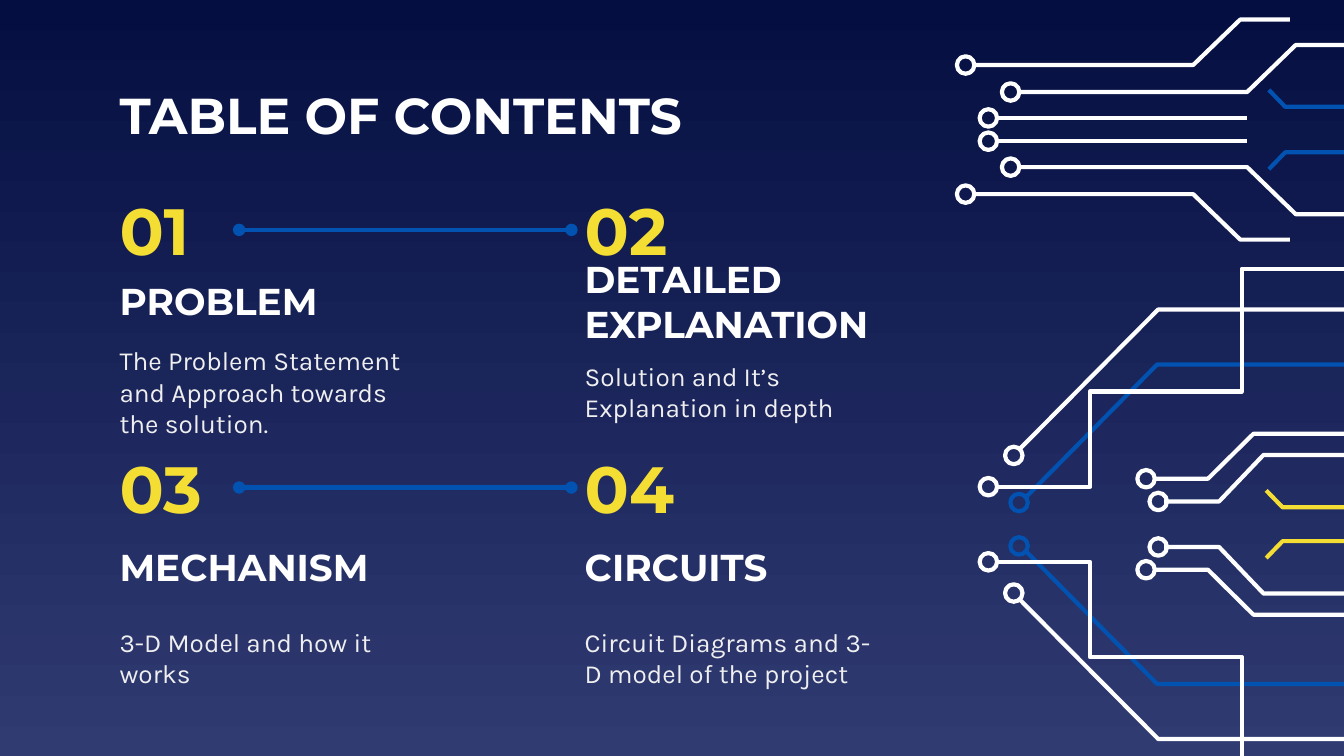
from lxml import etree
from pptx import Presentation
from pptx.dml.color import RGBColor
from pptx.enum import shapes, text
from pptx.oxml import ns
from pptx.util import Cm, Pt

WHITE = RGBColor(0xFF, 0xFF, 0xFF)
PALE = RGBColor(0xEF, 0xEF, 0xEF)
YELLOW = RGBColor(0xF5, 0xDE, 0x34)
BLUE = RGBColor(0x01, 0x52, 0xB1)
NIGHT = RGBColor(0x04, 0x0E, 0x41)
DUSK = RGBColor(0x30, 0x3B, 0x72)

RING = 0.33
STROKE = Pt(2.25)

# Each trace: colour, ring centre or None, points; x from the left, y from the axis.
TOP = [
    (WHITE, (0.15, 1.22), [(0.3, 1.22), (4.45, 1.22), (5.34, 2.08), (6.28, 2.08)]),
    (WHITE, (1, 0.71), [(1.15, 0.71), (5.47, 0.71), (6.39, 1.6), (7.8, 1.6)]),
    (WHITE, (0.58, 0.22), [(0.72, 0.22), (5.47, 0.22)]),
    (BLUE, None, [(5.88, 0.75), (6.19, 0.43), (7.6, 0.43)]),
]
SMALL = [
    (WHITE, (0.29, 0.43), [(0.4, 0.43), (1.44, 0.43), (2.28, 1.31), (4.3, 1.31)]),
    (WHITE, (0.06, 0.86), [(0.2, 0.86), (1.23, 0.86), (2.09, 1.71), (4.3, 1.71)]),
    (YELLOW, None, [(2.33, 0.64), (2.64, 0.32), (4.1, 0.32)]),
]
LARGE = [
    (BLUE, (0.76, 0.41), [(0.86, 0.48), (3.37, 3.02), (7.4, 3.02)]),
    (WHITE, (0.18, 0.71), [(0.32, 0.71), (2.1, 0.71), (2.1, 2.51),
                           (4.97, 2.51), (4.97, 4.83), (7.4, 4.83)]),
    (WHITE, (0.66, 1.3), [(0.75, 1.4), (3.39, 4.06), (7.4, 4.06)]),
]


def stroke(shape, color):
    """Outline a shape without fill or shadow."""
    shape.shadow.inherit = False
    shape.fill.background()
    shape.line.color.rgb = color
    shape.line.width = STROKE


def circuit(slide, left, axis, traces):
    """Draw traces mirrored above and below a horizontal axis."""
    for side in (-1, 1):
        for color, ring, points in traces:
            path = [(Cm(left + x), Cm(axis + side * y)) for x, y in points]
            pen = slide.shapes.build_freeform(*path[0])
            pen.add_line_segments(path[1:], close=False)
            stroke(pen.convert_to_shape(), color)
            if ring:
                x, y = left + ring[0], axis + side * ring[1]
                dot = slide.shapes.add_shape(
                    shapes.MSO_SHAPE.OVAL, Cm(x - RING / 2), Cm(y - RING / 2),
                    Cm(RING), Cm(RING))
                stroke(dot, color)


def write(slide, words, left, top, width, height, *, size, color=WHITE,
          font="Montserrat", bold=True):
    """Add a wrapped, vertically centred text box."""
    box = slide.shapes.add_textbox(Cm(left), Cm(top), Cm(width), Cm(height))
    frame = box.text_frame
    frame.word_wrap = True
    frame.vertical_anchor = text.MSO_ANCHOR.MIDDLE
    frame.margin_left = frame.margin_right = Cm(0.25)
    frame.margin_top = frame.margin_bottom = Cm(0.25)
    run = frame.paragraphs[0].add_run()
    run.text = words
    run.font.size = Pt(size)
    run.font.name = font
    run.font.bold = bold
    run.font.color.rgb = color
    return box


def entry(slide, left, top, drop, number, head, body):
    """Place one contents entry and return its number box."""
    mark = write(slide, number, left, top, 2.51, 1.47, size=35, color=YELLOW)
    write(slide, head, left, top + drop, 6.12, 1.32, size=20)
    write(slide, body, left, top + drop + 1.64, 6.12, 1.47, size=14,
          color=PALE, font="Karla", bold=False)
    return mark


def link(slide, first, last):
    """Join two number boxes with a round-ended line."""
    line = slide.shapes.add_connector(shapes.MSO_CONNECTOR.STRAIGHT, 0, 0, 0, 0)
    line.begin_connect(first, 3)
    line.end_connect(last, 1)
    line.line.color.rgb = BLUE
    line.line.width = STROKE
    outline = line.line._get_or_add_ln()
    for end in ("a:headEnd", "a:tailEnd"):
        etree.SubElement(outline, ns.qn(end), type="oval")
    etree.SubElement(line._element.spPr, ns.qn("a:effectLst"))


def contents(slide, left, top):
    """Lay out the title and the two rows of entries."""
    write(slide, "TABLE OF CONTENTS", left, top, 14.91, 1.32, size=27)
    rows = [
        (2.11, 1.42, [("01", "PROBLEM",
                       "The Problem Statement and Approach towards the solution."),
                      ("02", "DETAILED EXPLANATION",
                       "Solution and It’s Explanation in depth")]),
        (6.98, 1.57, [("03", "MECHANISM", "3-D Model and how it works"),
                      ("04", "CIRCUITS",
                       "Circuit Diagrams and 3-D model of the project")]),
    ]
    for down, drop, items in rows:
        marks = [entry(slide, left + col * 8.79, top + down, drop, *item)
                 for col, item in enumerate(items)]
        link(slide, *marks)


def main():
    """Build and save the slide."""
    deck = Presentation()
    deck.slide_width, deck.slide_height = Cm(25.4), Cm(14.29)
    slide = deck.slides.add_slide(deck.slide_layouts[6])
    fill = slide.background.fill
    fill.gradient()
    fill.gradient_angle = 270
    for stop, color in zip(fill.gradient_stops, (NIGHT, DUSK)):
        stop.color.rgb = color
    circuit(slide, 21.6, 9.91, SMALL)
    contents(slide, 2.01, 1.5)
    circuit(slide, 18.5, 9.91, LARGE)
    circuit(slide, 18.1, 2.45, TOP)
    deck.save("out.pptx")


if __name__ == "__main__":
    main()
